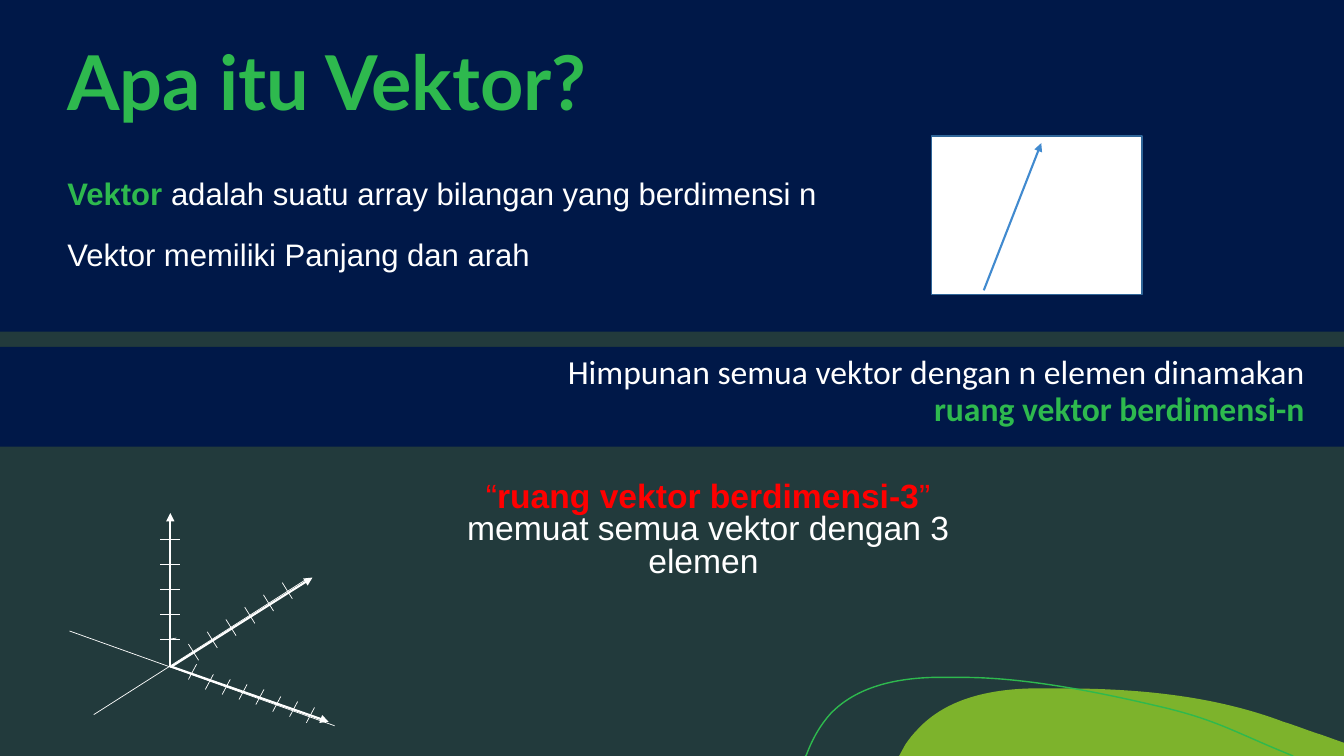
from lxml import etree
from pptx import Presentation
from pptx.dml.color import RGBColor
from pptx.enum import shapes, text
from pptx.oxml import ns
from pptx.util import Inches, Pt

SLIDE_H = 7.5
SLIDE_W = SLIDE_H * 16 / 9
NAVY, GREEN, LIME, WHITE = "001848", "2EB94E", "7DB32C", "FFFFFF"
RED, BLUE, FRAME, SLATE = "FF0000", "418ACF", "306699", "223A3C"
LEFT, CENTER, RIGHT = text.PP_ALIGN.LEFT, text.PP_ALIGN.CENTER, text.PP_ALIGN.RIGHT

TITLE = "Apa itu Vektor?"
TEXTS = [
    ((0.57, 1.59, 8.03, 1.45), "Arial", 22.2, LEFT, 1.25, [
        [("Vektor ", GREEN, True),
         ("adalah suatu array bilangan yang berdimensi n", WHITE, False)],
        [("Vektor memiliki Panjang dan arah", WHITE, False)]]),
    ((5.44, 3.48, 7.6, 1.11), "Calibri", 24, RIGHT, 0.9, [
        [("Himpunan semua vektor dengan n elemen dinamakan ", WHITE, False),
         ("ruang vektor berdimensi-n", GREEN, True)]]),
    ((4.43, 4.74, 5.19, 1.11), "Arial", 24, CENTER, 0.8, [
        [("“", RED, False), ("ruang vektor berdimensi-3", RED, True),
         ("” ", RED, False),
         ("memuat semua vektor dengan 3 elemen ", WHITE, False)]]),
]
BANDS = [(0, 3.44, SLIDE_W, 0.99), (0, 0, SLIDE_W, 3.29)]
VECTOR_BOX = (9.24, 1.35, 2.09, 1.57)
VECTOR = ((9.76, 2.88), (10.33, 1.42))

HILL = [
    [(10.54, 6.83)],
    [(11.28, 6.83), (12.04, 6.9), (12.73, 7.16)],
    [(12.86, 7.2), (12.98, 7.25), (13.11, 7.29)],
    [(SLIDE_W, 7.37)], [(SLIDE_W, SLIDE_H)], [(8.92, SLIDE_H)], [(8.98, 7.39)],
    [(9.02, 7.33), (9.06, 7.28), (9.11, 7.23)],
    [(9.39, 6.93), (9.82, 6.84), (10.23, 6.83)],
    [(10.33, 6.83), (10.43, 6.83), (10.54, 6.83)],
]
EDGE = [
    [(0, 0.75)], [(0.01, 0.76)],
    [(0.3, 1.02), (0.54, 1.33), (0.48, 1.7)],
    [(0.46, 1.87), (0.37, 2.03), (0.27, 2.18)],
    [(0.24, 2.24), (0.17, 2.33), (0.08, 2.44)],
    [(0, 2.54)],
]
HILL_LINE = [
    [(7.99, 7.5)], [(8, 7.49)],
    [(8.06, 7.33), (8.14, 7.19), (8.24, 7.08)],
    [(8.5, 6.81), (8.89, 6.73), (9.26, 6.72)],
    [(9.55, 6.72)],
    [(10.22, 6.72), (11, 6.89), (11.55, 7.02)],
    [(12.09, 7.15), (12.26, 7.27), (12.83, 7.5)],
]

GUIDES = [((0.93, 7.09), (3.05, 5.74)), ((0.69, 6.26), (3.32, 7.2))]
AXES = [((1.69, 6.62), (1.69, 5.09)), ((1.69, 6.62), (3.1, 5.73)),
        ((1.69, 6.61), (3.26, 7.16))]
X_TICK_TOPS = [6.59, 6.69, 6.74, 6.79, 6.84, 6.91, 6.96, 7.02]
TICKS = [(1.75, 6.33, -0.06, 0.01)]
TICKS += [(1.59, 6.34 - i * 0.99 / 4, 0.2, 0) for i in range(5)]
TICKS += [(1.87 + i * 0.93 / 5, 6.39 - i * 0.61 / 5, 0.1, 0.16) for i in range(6)]
TICKS += [(1.95 + i * 1.17 / 7, top, -0.08, 0.15) for i, top in enumerate(X_TICK_TOPS)]


def rgb(color):
    return RGBColor.from_string(color)


def inches(values):
    return [Inches(v) for v in values]


def paint(sp, fill=None, line=None):
    sp.shadow.inherit = False
    if fill:
        sp.fill.solid()
        sp.fill.fore_color.rgb = rgb(fill)
    else:
        sp.fill.background()
    if line:
        sp.line.color.rgb = rgb(line)
        sp.line.width = Pt(1)
    else:
        sp.line.fill.background()


def add_box(s, at, fill, line=None):
    sp = s.shapes.add_shape(shapes.MSO_SHAPE.RECTANGLE, *inches(at))
    paint(sp, fill, line)


def add_outline(s, segments, closed, fill=None, line=None):
    points = [inches(point) for segment in segments for point in segment]
    builder = s.shapes.build_freeform(*points[0])
    builder.add_line_segments(points[1:], close=closed)
    sp = builder.convert_to_shape()
    steps = iter(list(sp._element.iter(ns.qn("a:lnTo"))))
    for segment in segments[1:]:
        parts = [next(steps) for _ in segment]
        if len(parts) == 3:
            curve = etree.Element(ns.qn("a:cubicBezTo"))
            parts[0].addprevious(curve)
            for part in parts:
                curve.append(part[0])
                part.getparent().remove(part)
    paint(sp, fill, line)


def add_line(s, start, end, color, width, arrow=False):
    sp = s.shapes.add_connector(shapes.MSO_CONNECTOR.STRAIGHT, *inches(start + end))
    sp.line.color.rgb = rgb(color)
    sp.line.width = Pt(width)
    if arrow:
        etree.SubElement(sp.line._get_or_add_ln(), ns.qn("a:tailEnd"), type="triangle")
    etree.SubElement(sp._element.spPr, ns.qn("a:effectLst"))


def add_text(s, at, font, size, align, spacing, paragraphs):
    tf = s.shapes.add_textbox(*inches(at)).text_frame
    tf.word_wrap = True
    for i, runs in enumerate(paragraphs):
        p = tf.add_paragraph() if i else tf.paragraphs[0]
        p.alignment, p.line_spacing = align, spacing
        p.space_before = Pt(10 if i else 0)
        p.font.name, p.font.size = font, Pt(size)
        for words, color, bold in runs:
            r = p.add_run()
            r.text = words
            r.font.color.rgb = rgb(color)
            r.font.bold = bold


def add_title(s):
    sp = s.shapes.title
    sp.left, sp.top, sp.width, sp.height = inches((0.57, 0.38, 9.64, 0.94))
    tf = sp.text_frame
    tf.text = TITLE
    tf.vertical_anchor = text.MSO_ANCHOR.MIDDLE
    p = tf.paragraphs[0]
    p.alignment, p.line_spacing = LEFT, 0.9
    p.font.name, p.font.size, p.font.bold = "Lato", Pt(54), True
    p.font.color.rgb = rgb(GREEN)
    s.shapes._spTree.append(sp._element)


def main():
    prs = Presentation()
    prs.slide_width, prs.slide_height = inches((SLIDE_W, SLIDE_H))
    s = prs.slides.add_slide(prs.slide_layouts[5])
    s.background.fill.solid()
    s.background.fill.fore_color.rgb = rgb(SLATE)

    add_outline(s, HILL, True, fill=LIME)
    add_outline(s, EDGE, True, fill=BLUE)
    add_outline(s, HILL_LINE, False, line=GREEN)
    for band in BANDS:
        add_box(s, band, NAVY)
    add_title(s)
    for block in TEXTS:
        add_text(s, *block)

    for start, end in GUIDES:
        add_line(s, start, end, WHITE, 0.5)
    for start, end in AXES:
        add_line(s, start, end, WHITE, 1.5, arrow=True)
    for x, y, dx, dy in TICKS:
        add_line(s, (x, y), (x + dx, y + dy), WHITE, 0.5)

    add_box(s, VECTOR_BOX, WHITE, FRAME)
    add_line(s, *VECTOR, BLUE, 1.5, arrow=True)
    prs.save("out.pptx")


if __name__ == "__main__":
    main()
